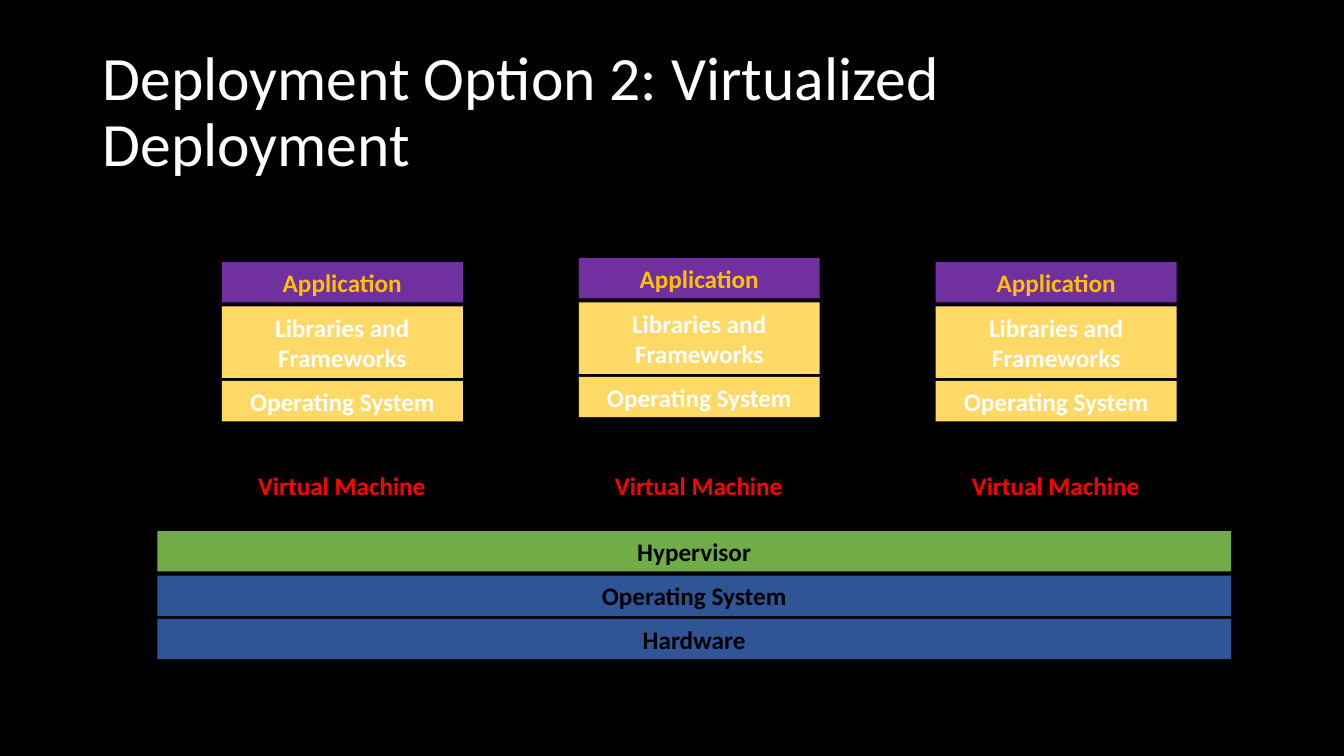
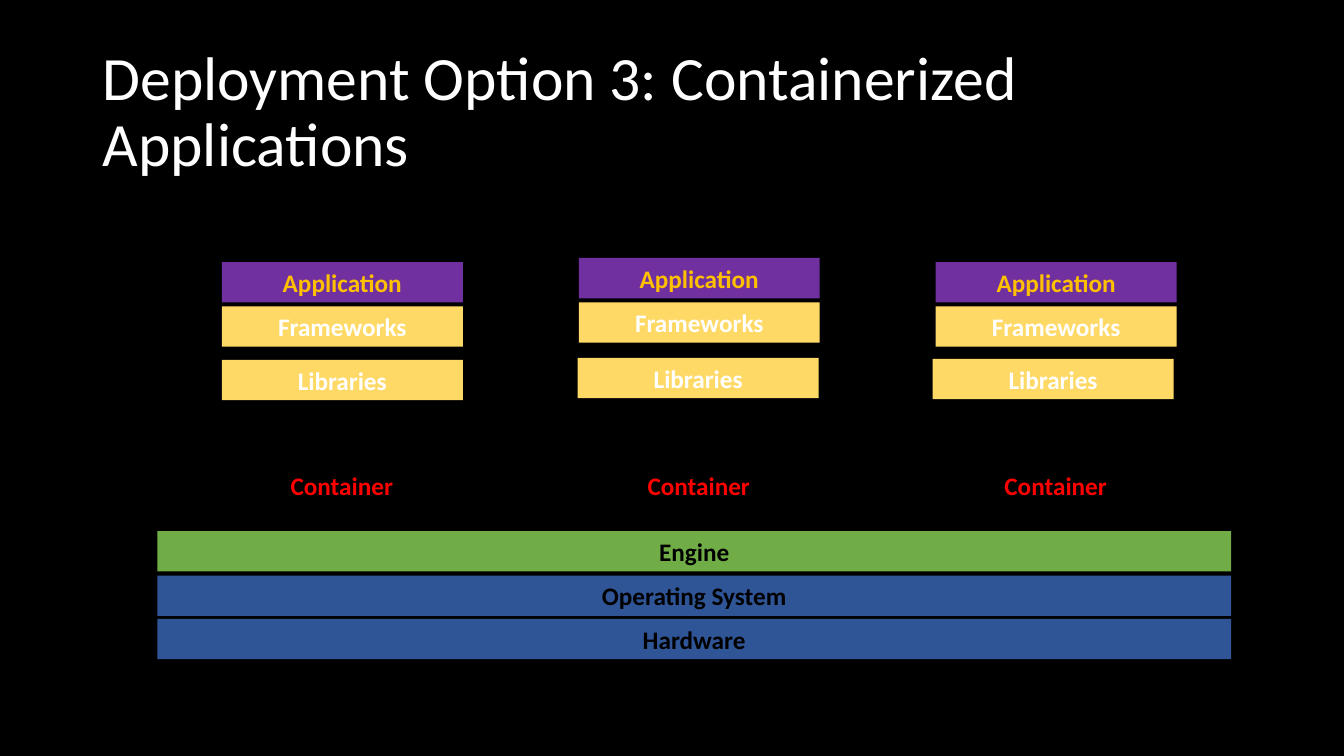
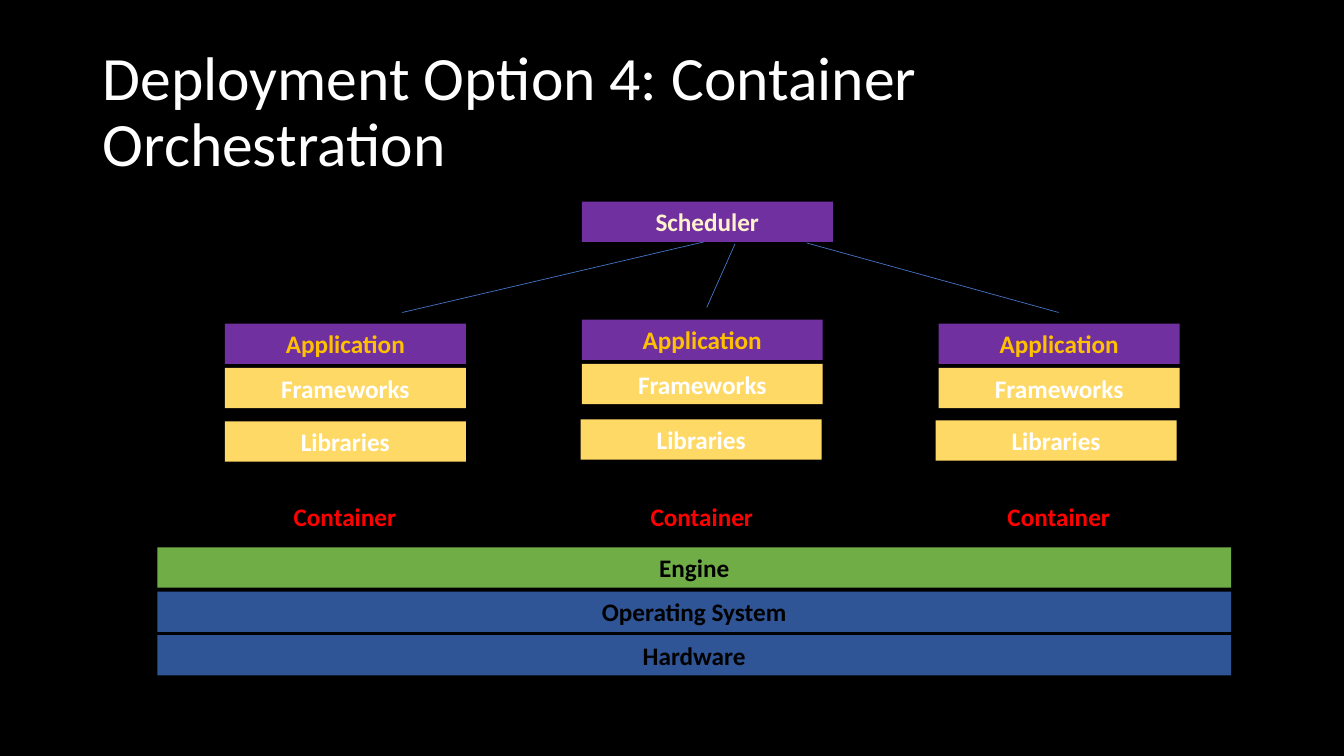
from pptx import Presentation
from pptx.dml.color import RGBColor
from pptx.enum.shapes import MSO_CONNECTOR, MSO_SHAPE
from pptx.enum.text import MSO_ANCHOR, PP_ALIGN
from pptx.oxml.ns import qn
from pptx.util import Inches, Pt
from lxml import etree

RECT = MSO_SHAPE.RECTANGLE
STRAIGHT = MSO_CONNECTOR.STRAIGHT
MIDDLE, BOTTOM = MSO_ANCHOR.MIDDLE, MSO_ANCHOR.BOTTOM
LEFT, CENTER = PP_ALIGN.LEFT, PP_ALIGN.CENTER

FONT = "Calibri"
BLACK, WHITE, RED = "000000", "FFFFFF", "FF0000"
BLUE, GREEN, PURPLE = "2F5597", "70AD47", "7030A0"
YELLOW, GOLD, CREAM, LINE = "FFD966", "FFC000", "FFF2CC", "4472C4"

ROW = 0.4             # height of a one-line box
PITCH = 3.54          # distance between cards
CARD, INSET = 3.02, 0.32
LAYER = 2.39          # width of a layer in a card
LIFTS = (0, -0.04, 0)  # the middle stack sits a little higher
EVEN = ((0, 0),) * 3

# Each layer: text, offset in card, height, fill, ink, nudge in each card
APP = ("Application", 0.11, ROW, PURPLE, GOLD, EVEN)
MACHINE = (
    APP,
    ("Libraries and Frameworks", 0.55, 0.71, YELLOW, WHITE, EVEN),
    ("Operating System", 1.29, ROW, YELLOW, WHITE, EVEN),
)
CONTAINER = (
    APP,
    ("Frameworks", 0.55, ROW, YELLOW, WHITE, EVEN),
    ("Libraries", 1.08, ROW, YELLOW, WHITE,
     ((0, 0), (-0.01, 0.02), (-0.03, -0.01))),
)


def color(code):
    return RGBColor.from_string(code)


class Deck:
    def __init__(self):
        self.prs = Presentation()
        self.prs.slide_width = Inches(13.33)
        self.prs.slide_height = Inches(7.5)
        self.slide = None

    def page(self, title):
        self.slide = self.prs.slides.add_slide(self.prs.slide_layouts[6])
        fill = self.slide.background.fill
        fill.solid()
        fill.fore_color.rgb = color(BLACK)
        head = self.slide.shapes.add_textbox(
            Inches(0.92), Inches(0.4), Inches(11.5), Inches(1.45))
        self.label(head, title, WHITE, size=44, bold=False, align=LEFT)
        head.text_frame.paragraphs[0].line_spacing = 0.9

    def label(self, shape, text, ink, size=18, bold=True, align=CENTER,
              anchor=MIDDLE):
        frame = shape.text_frame
        frame.word_wrap = True
        frame.vertical_anchor = anchor
        frame.text = text
        para = frame.paragraphs[0]
        para.alignment = align
        font = para.runs[0].font
        font.name, font.size, font.bold = FONT, Pt(size), bold
        font.color.rgb = color(ink)

    def box(self, place, text, fill, ink, anchor=MIDDLE, group=None):
        shapes = (group or self.slide).shapes
        shape = shapes.add_shape(RECT, *map(Inches, place))
        shape.shadow.inherit = False
        shape.fill.solid()
        shape.fill.fore_color.rgb = color(fill)
        shape.line.fill.background()
        self.label(shape, text, ink, anchor=anchor)

    def line(self, start, end):
        link = self.slide.shapes.add_connector(
            STRAIGHT, *map(Inches, start + end))
        link.line.color.rgb = color(LINE)
        link.line.width = Pt(0.5)
        etree.SubElement(link._element.spPr, qn("a:effectLst"))

    def base(self, top, engine):
        """Draw the three wide bars that carry the cards."""
        bars = ((engine, 0, GREEN), ("Operating System", 0.44, BLUE),
                ("Hardware", 0.87, BLUE))
        for text, drop, fill in bars:
            self.box((1.56, top + drop, 10.65, ROW), text, fill, BLACK)

    def cards(self, left, top, height, title, layers):
        """Draw three grouped stacks, each with its title at the bottom."""
        for col, lift in enumerate(LIFTS):
            x = left + col * PITCH
            group = self.slide.shapes.add_group_shape()
            self.box((x, top, CARD, height), title, BLACK, RED, BOTTOM, group)
            for text, drop, tall, fill, ink, nudges in layers:
                dx, dy = nudges[col]
                place = (x + INSET + dx, top + drop + lift + dy, LAYER, tall)
                self.box(place, text, fill, ink, group=group)


def main():
    deck = Deck()

    deck.page("Deployment Option 2: Virtualized Deployment")
    deck.base(5.27, "Hypervisor")
    deck.cards(1.88, 2.49, 2.52, "Virtual Machine", MACHINE)

    deck.page("Deployment Option 3: Containerized Applications")
    deck.base(5.27, "Engine")
    deck.cards(1.88, 2.49, 2.52, "Container", CONTAINER)

    deck.page("Deployment Option 4: Container Orchestration")
    deck.base(5.43, "Engine")
    deck.cards(1.91, 3.1, 2.22, "Container", CONTAINER)
    deck.box((5.77, 2, 2.49, ROW), "Scheduler", PURPLE, CREAM)
    for start, end in (((6.98, 2.4), (3.99, 3.1)),
                       ((7.29, 2.42), (7.01, 3.05)),
                       ((8, 2.41), (10.5, 3.1))):
        deck.line(start, end)

    deck.prs.save("out.pptx")


if __name__ == "__main__":
    main()
